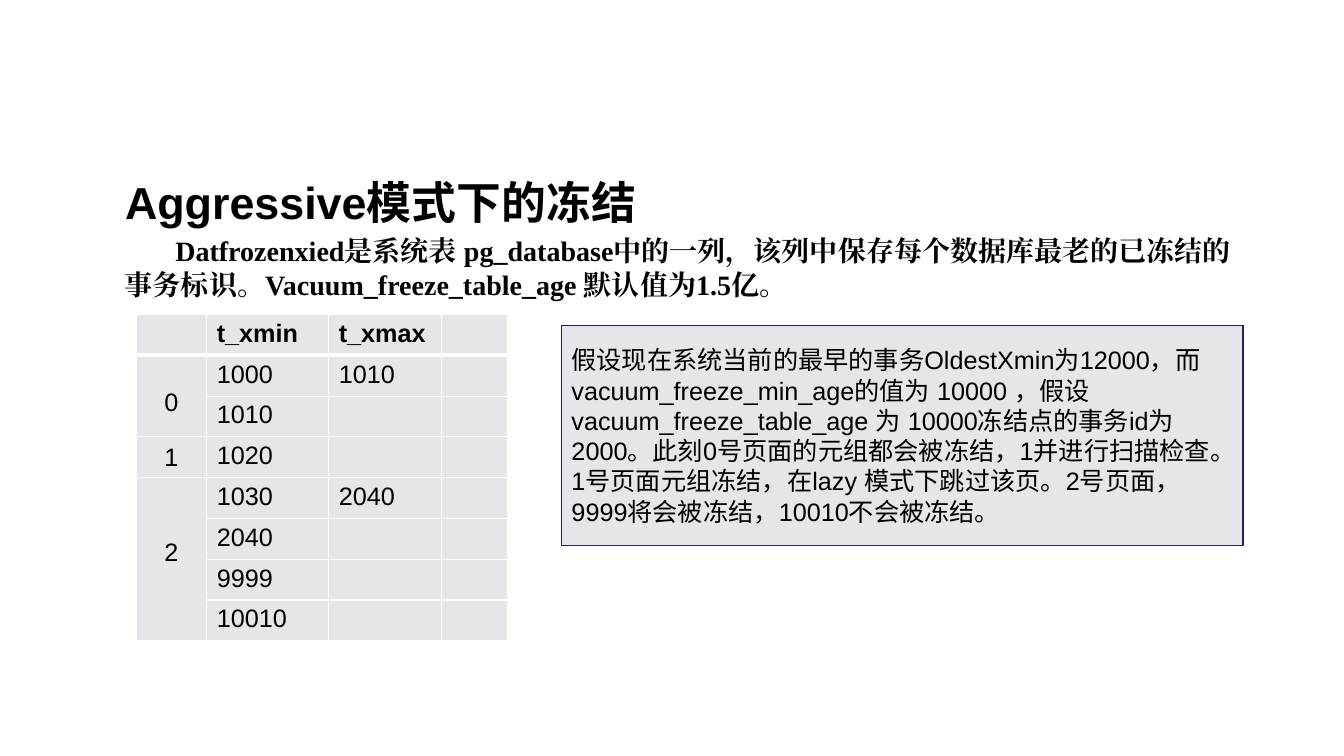
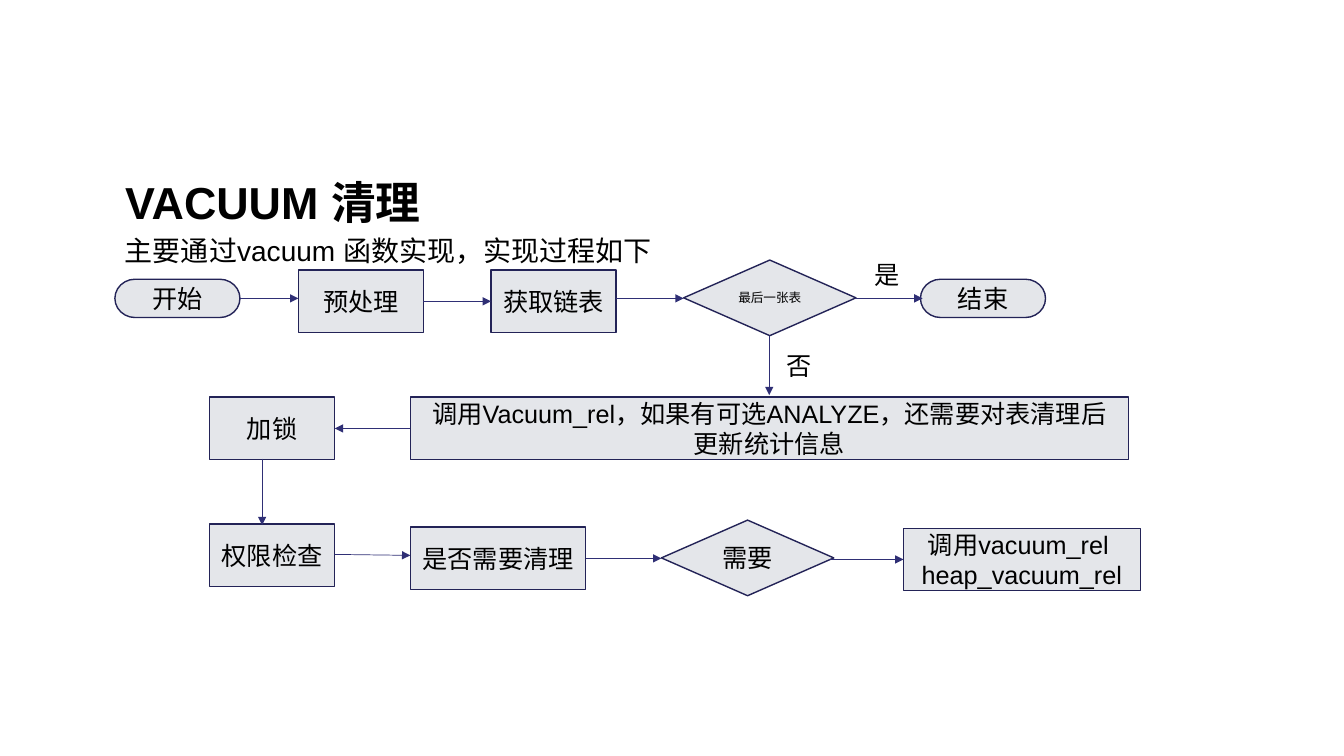
from dataclasses import dataclass

from lxml import etree
from pptx import Presentation
from pptx.dml.color import RGBColor
from pptx.enum import shapes, text
from pptx.oxml import ns
from pptx.util import Pt

PX = 9144  # EMU in one px, 100 px to the inch


@dataclass(frozen=True)
class Theme:
    ink: str = "000000"
    paper: str = "FFFFFF"
    panel: str = "E4E6EA"
    outline: str = "232357"
    arrow: str = "2F2F75"
    sans: str = "Arial"
    serif: str = "Times New Roman"
    cjk: str = "Noto Sans CJK SC"
    title_size: int = 32
    lead_size: int = 20
    text_size: int = 18
    small_size: int = 9
    outline_width: float = 1
    arrow_width: float = 0.5
    header_rule: float = 3


THEME = Theme()
RECTANGLE = shapes.MSO_SHAPE.RECTANGLE
TERMINATOR = shapes.MSO_SHAPE.FLOWCHART_TERMINATOR
DECISION = shapes.MSO_SHAPE.FLOWCHART_DECISION


def set_all(target, **values):
    for name, value in values.items():
        setattr(target, name, value)


def emu(*lengths):
    return [length * PX for length in lengths]


def add_xml(parent, tag, **attributes):
    return etree.SubElement(parent, ns.qn(tag), attributes)


class Deck:
    def __init__(self, theme, width, height):
        self.theme = theme
        self.presentation = Presentation()
        set_all(self.presentation, slide_width=width * PX, slide_height=height * PX)
        self.slide = None

    def fill_text(self, frame, content, size=None, font=None, bold=False, indent=0, **layout):
        """Fill a text frame, one paragraph for each line of content."""
        for number, line in enumerate(content.split("\n")):
            paragraph = frame.add_paragraph() if number else frame.paragraphs[0]
            set_all(paragraph, **layout)
            if indent:
                paragraph._p.get_or_add_pPr().set("indent", str(indent * PX))
            run = paragraph.add_run()
            run.text = line
            name = font or self.theme.sans
            set_all(run.font, name=name, size=Pt(size or self.theme.text_size), bold=bold)
            run.font.color.rgb = RGBColor.from_string(self.theme.ink)
            add_xml(run._r.get_or_add_rPr(), "a:ea", typeface=name)

    def add_slide(self, title):
        layout = self.presentation.slide_layouts[5]
        self.slide = self.presentation.slides.add_slide(layout)
        shape = self.slide.shapes.title
        left, top, width, height = emu(114, 158, 1119, 69)
        set_all(shape, left=left, top=top, width=width, height=height)
        set_all(shape.text_frame, word_wrap=True, vertical_anchor=text.MSO_ANCHOR.TOP,
                auto_size=text.MSO_AUTO_SIZE.SHAPE_TO_FIT_TEXT)
        self.fill_text(shape.text_frame, title, self.theme.title_size, bold=True,
                       alignment=text.PP_ALIGN.LEFT, line_spacing=1.2)

    def lead(self, top, content, **style):
        """Add the introductory text below the title."""
        shape = self.slide.shapes.add_textbox(*emu(114, top, 1119, 409))
        shape.text_frame.word_wrap = True
        self.fill_text(shape.text_frame, content, self.theme.lead_size,
                       space_before=Pt(10), **style)

    def box(self, kind, bounds, content, fill=None, line=None,
            alignment=text.PP_ALIGN.CENTER, **style):
        shape = self.slide.shapes.add_shape(kind, *emu(*bounds))
        shape.shadow.inherit = False
        shape.fill.solid()
        shape.fill.fore_color.rgb = RGBColor.from_string(fill or self.theme.panel)
        shape.line.color.rgb = RGBColor.from_string(line or self.theme.outline)
        shape.line.width = Pt(self.theme.outline_width)
        set_all(shape.text_frame, word_wrap=True, vertical_anchor=text.MSO_ANCHOR.MIDDLE)
        self.fill_text(shape.text_frame, content, alignment=alignment, **style)

    def label(self, left, top, content):
        paper = self.theme.paper
        self.box(RECTANGLE, (left, top, 44, 29), content, fill=paper, line=paper)

    def arrow(self, *ends):
        connector = self.slide.shapes.add_connector(
            shapes.MSO_CONNECTOR.STRAIGHT, *emu(*ends))
        connector.line.color.rgb = RGBColor.from_string(self.theme.arrow)
        connector.line.width = Pt(self.theme.arrow_width)
        properties = connector._element.spPr
        add_xml(properties.find(ns.qn("a:ln")), "a:tailEnd", type="triangle")
        add_xml(properties, "a:effectLst")

    def style_cell(self, cell, row):
        properties = cell._tc.get_or_add_tcPr()
        thick_side = {0: "B", 1: "T"}.get(row)
        for side in "LRTB":
            width = self.theme.header_rule if side == thick_side else self.theme.outline_width
            border = add_xml(properties, f"a:ln{side}", w=str(Pt(width)))
            add_xml(add_xml(border, "a:solidFill"), "a:srgbClr", val=self.theme.paper)
        cell.fill.solid()
        cell.fill.fore_color.rgb = RGBColor.from_string(self.theme.panel)

    def page_table(self, bounds, widths, rows, groups):
        """Add a table; groups gives (first row, last row, label, margins) for column 0."""
        frame = self.slide.shapes.add_table(len(rows), len(widths), *emu(*bounds))
        table = frame.table
        set_all(table, first_row=False, horz_banding=False)
        for column, width in zip(table.columns, widths):
            column.width = width * PX
        for row, values in enumerate(rows):
            for column in range(len(widths)):
                self.style_cell(table.cell(row, column), row)
            for column, value in enumerate(values, start=1):
                self.fill_text(table.cell(row, column).text_frame, value, bold=row == 0)
        for first, last, name, margins in groups:
            cell = table.cell(first, 0)
            if last > first:
                cell.merge(table.cell(last, 0))
            set_all(cell, vertical_anchor=text.MSO_ANCHOR.MIDDLE,
                    **{side: size * PX for side, size in margins.items()})
            self.fill_text(cell.text_frame, name, alignment=text.PP_ALIGN.CENTER)


def add_freeze_slide(deck):
    deck.add_slide("Aggressive模式下的冻结")
    deck.lead(227, "Datfrozenxied是系统表 pg_database中的一列，该列中保存每个数据库最老的"
              "已冻结的事务标识。Vacuum_freeze_table_age 默认值为1.5亿。",
              font=deck.theme.serif, bold=True, indent=50)
    rows = [("t_xmin", "t_xmax"), ("1000", "1010"), ("1010",), ("1020",),
            ("1030", "2040"), ("2040",), ("9999",), ("10010",)]
    groups = [(1, 2, "0", {"margin_top": 19}), (3, 3, "1", {}),
              (4, 7, "2", {"margin_bottom": 18})]
    deck.page_table((135, 312, 368, 324), (70, 121, 112, 65), rows, groups)
    deck.box(RECTANGLE, (557, 323, 676, 218),
             "假设现在系统当前的最早的事务OldestXmin为12000，而vacuum_freeze_min_age的值为 10000 ，"
             "假设vacuum_freeze_table_age 为 10000冻结点的事务id为2000。此刻0号页面的元组都会被冻结，"
             "1并进行扫描检查。1号页面元组冻结，在lazy 模式下跳过该页。2号页面，9999将会被冻结，"
             "10010不会被冻结。", alignment=text.PP_ALIGN.LEFT)


def add_vacuum_slide(deck):
    deck.add_slide("VACUUM 清理")
    deck.lead(230, "主要通过vacuum 函数实现，实现过程如下", line_spacing=0.9)
    for left, name in ((114, "开始"), (913, "结束")):
        deck.box(TERMINATOR, (left, 277, 124, 38), name, font=deck.theme.cjk)
    steps = [
        (296, 268, 124, "预处理"),
        (487, 268, 124, "获取链表"),
        (407, 394, 712, "调用Vacuum_rel，如果有可选ANALYZE，还需要对表清理后更新统计信息"),
        (208, 394, 124, "加锁"),
        (208, 520, 124, "权限检查"),
        (407, 523, 174, "是否需要清理"),
        (896, 524, 235, "调用vacuum_rel \nheap_vacuum_rel"),
    ]
    for left, top, width, name in steps:
        deck.box(RECTANGLE, (left, top, width, 62), name)
    for left, top, name, size in ((678, 258, "最后一张表", deck.theme.small_size),
                                  (656, 516, "需要", deck.theme.text_size)):
        deck.box(DECISION, (left, top, 171, 75), name, size=size)
    deck.label(858, 258, "是")
    deck.label(770, 348, "否")
    for ends in ((238, 296, 296, 296), (420, 299, 487, 299), (611, 296, 678, 296),
                 (848, 296, 915, 296), (763, 333, 763, 392), (407, 425, 332, 425),
                 (260, 455, 260, 521), (332, 550, 407, 551), (581, 554, 656, 554),
                 (822, 555, 896, 555)):
        deck.arrow(*ends)


def main():
    deck = Deck(THEME, 1333, 750)
    add_freeze_slide(deck)
    add_vacuum_slide(deck)
    deck.presentation.save("out.pptx")


if __name__ == "__main__":
    main()
